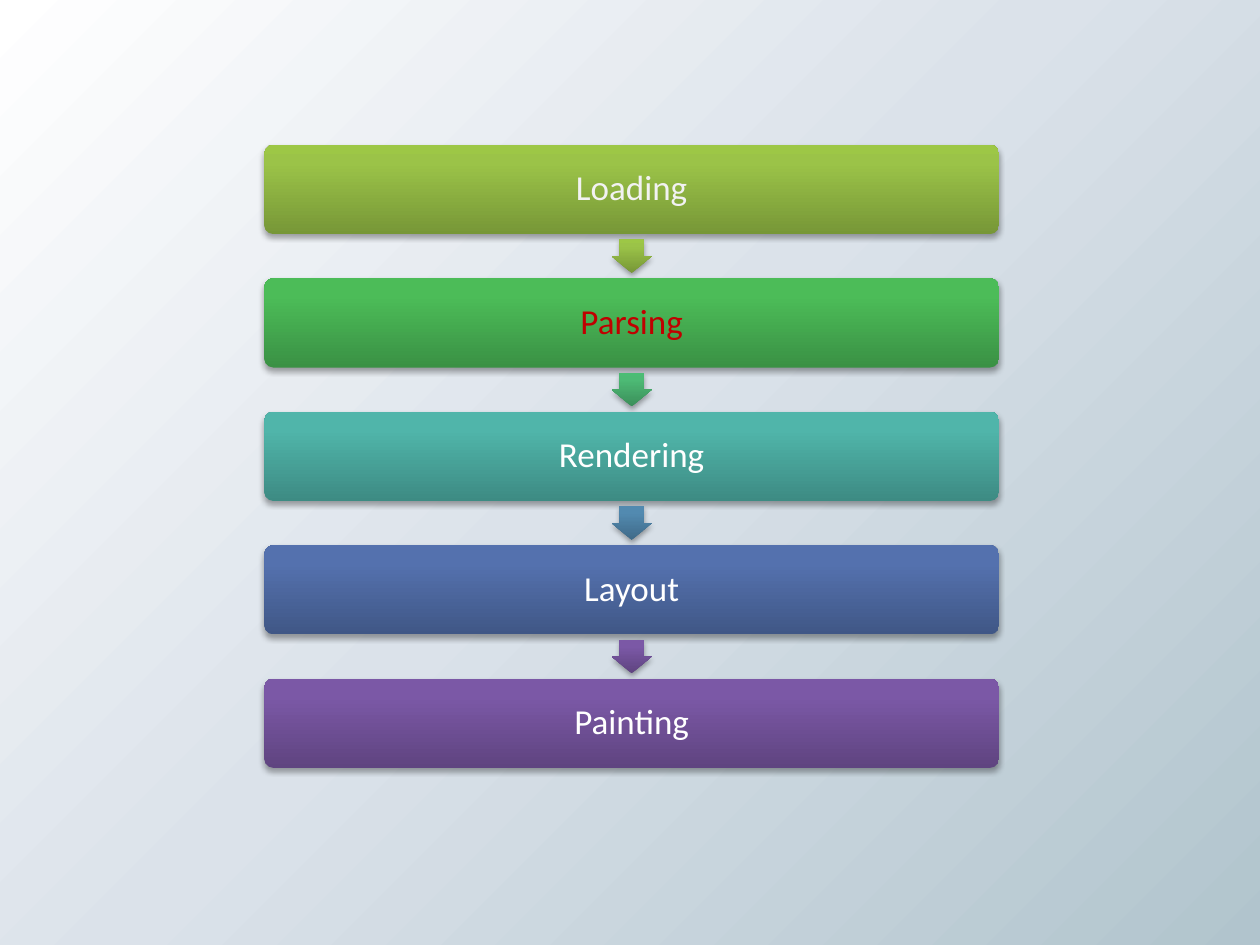
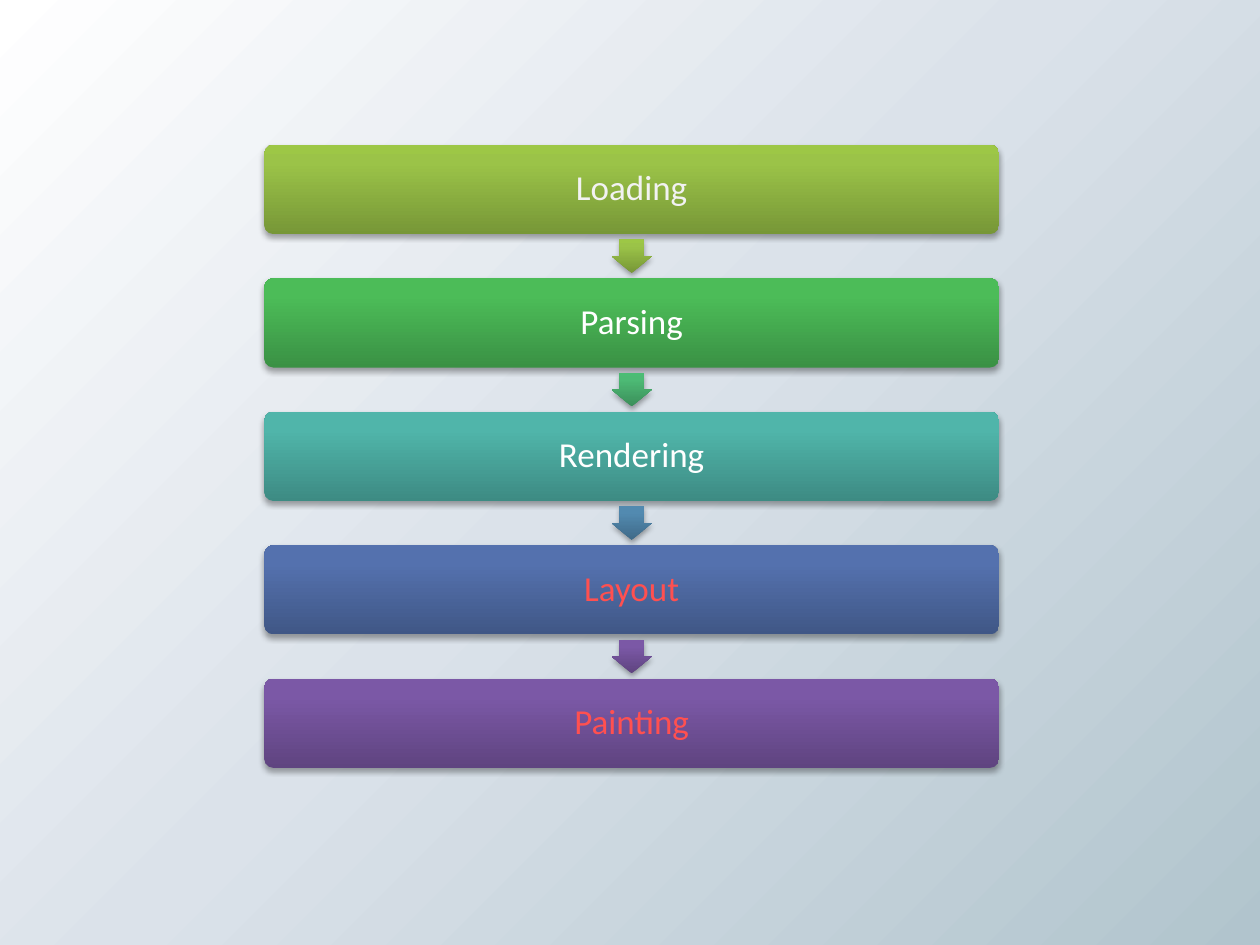
"""Build two slides showing the five stages of page display, with different stages highlighted."""
from copy import deepcopy

from lxml import etree
from pptx import Presentation
from pptx.dml.color import RGBColor
from pptx.enum.shapes import MSO_SHAPE
from pptx.enum.text import MSO_ANCHOR, PP_ALIGN
from pptx.oxml.ns import qn
from pptx.util import Cm, Pt

ROUNDED_RECTANGLE = MSO_SHAPE.ROUNDED_RECTANGLE
DOWN_ARROW = MSO_SHAPE.DOWN_ARROW
MIDDLE = MSO_ANCHOR.MIDDLE
CENTER = PP_ALIGN.CENTER

COLORS = {
    "white": "FFFFFF",
    "off_white": "F2F2F2",
    "dark_red": "C00000",
    "light_red": "FF5050",
    "mist": "DBE2EA",
    "steel": "B1C4CD",
}
GRADIENTS = {
    "lime": ("779737", "9BC348", "9DC746"),
    "green": ("3A9144", "4CBC58", "4ABF57"),
    "emerald": ("3B8F5A", "4DBA75", "4BBD75"),
    "teal": ("3D8B83", "50B5AA", "4EB8AC"),
    "sky": ("3F6A88", "528AB0", "518BB3"),
    "blue": ("405786", "5471AE", "5271B0"),
    "purple": ("5F4480", "7B58A6", "7C57A8"),
}
STAGES = [
    ("Loading", "lime", "off_white"),
    ("Parsing", "green", "white"),
    ("Rendering", "teal", "white"),
    ("Layout", "blue", "white"),
    ("Painting", "purple", "white"),
]
ARROW_GRADIENTS = ["lime", "emerald", "sky", "purple"]
HIGHLIGHTS = [
    {"Parsing": "dark_red"},
    {"Layout": "light_red", "Painting": "light_red"},
]

BOX_LEFT, BOX_TOP, BOX_WIDTH, BOX_HEIGHT = Cm(5.33), Cm(2.92), Cm(14.81), Cm(1.8)
STEP = Cm(2.69)
ARROW_WIDTH, ARROW_HEIGHT = Cm(0.81), Cm(0.68)
ARROW_LEFT = BOX_LEFT + (BOX_WIDTH - ARROW_WIDTH) // 2
ARROW_OFFSET = (BOX_HEIGHT + STEP - ARROW_HEIGHT) // 2
INSET = Cm(0.25)


def apply_gradient(fill, element, colors, middle, angle):
    fill.gradient()
    fill.gradient_angle = angle
    stop_list = element.find(".//" + qn("a:gsLst"))
    stop_list.append(deepcopy(stop_list[-1]))
    for stop, color, position in zip(fill.gradient_stops, colors, (0, middle, 1)):
        stop.color.rgb = RGBColor.from_string(color)
        stop.position = position


def add_glossy_shape(slide, kind, left, top, width, height, gradient):
    shape = slide.shapes.add_shape(kind, left, top, width, height)
    apply_gradient(shape.fill, shape._element, GRADIENTS[gradient], 0.8, 90)
    shape.line.fill.background()
    shape.shadow.inherit = False
    effects = shape._element.spPr.find(qn("a:effectLst"))
    shadow = etree.SubElement(effects, qn("a:outerShdw"), blurRad="40000", dist="23000",
                              dir="5400000", rotWithShape="0")
    shadow_color = etree.SubElement(shadow, qn("a:srgbClr"), val="000000")
    etree.SubElement(shadow_color, qn("a:alpha"), val="35000")
    return shape


presentation = Presentation()
presentation.slide_width = Cm(25.4)
presentation.slide_height = Cm(19.05)

master = presentation.slide_master
background_colors = [COLORS[name] for name in ("white", "mist", "steel")]
apply_gradient(master.background.fill, master._element, background_colors, 0.48, 315)

for highlights in HIGHLIGHTS:
    slide = presentation.slides.add_slide(presentation.slide_layouts[6])
    for index, (stage, gradient, text_color) in enumerate(STAGES):
        top = BOX_TOP + index * STEP
        box = add_glossy_shape(slide, ROUNDED_RECTANGLE, BOX_LEFT, top, BOX_WIDTH, BOX_HEIGHT, gradient)
        box.adjustments[0] = 0.1
        text_frame = box.text_frame
        text_frame.text = stage
        text_frame.vertical_anchor = MIDDLE
        text_frame.margin_left = text_frame.margin_right = INSET
        text_frame.margin_top = text_frame.margin_bottom = INSET
        paragraph = text_frame.paragraphs[0]
        paragraph.alignment = CENTER
        paragraph.line_spacing = 0.9
        font = paragraph.runs[0].font
        font.name = "Calibri"
        font.size = Pt(20)
        font.color.rgb = RGBColor.from_string(COLORS[highlights.get(stage, text_color)])
        if index < len(ARROW_GRADIENTS):
            arrow = add_glossy_shape(slide, DOWN_ARROW, ARROW_LEFT, top + ARROW_OFFSET,
                                     ARROW_WIDTH, ARROW_HEIGHT, ARROW_GRADIENTS[index])
            arrow.adjustments[0] = 0.6
            arrow.adjustments[1] = 0.5

presentation.save("out.pptx")
